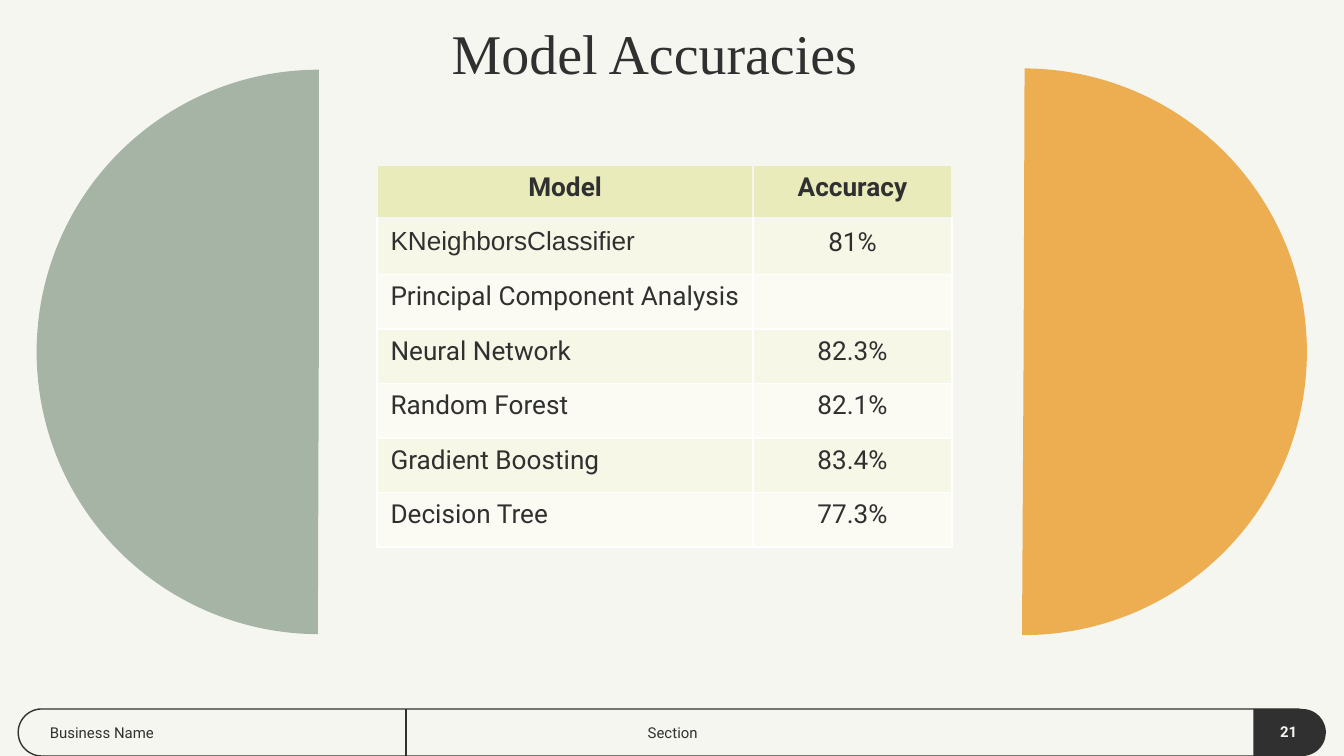
"""Build the Model Accuracies slide: a table between two half discs, with a footer bar."""
from lxml import etree
from pptx import Presentation
from pptx.dml.color import RGBColor
from pptx.enum import shapes, text
from pptx.oxml.ns import qn
from pptx.util import Pt

INK, PAPER = "303030", "F6F6F1"
HEADER, BANDS = "EAEBBA", ("FBFBF3", "F7F7E7")
LEFT, CENTER = text.PP_ALIGN.LEFT, text.PP_ALIGN.CENTER


def rgb(value):
    return RGBColor.from_string(value)


def write(tf, words, size, font, color, align, bold=False):
    tf.text = words
    p = tf.paragraphs[0]
    p.alignment = align
    p.font.size = Pt(size)
    for r in p.runs:
        r.font.size, r.font.name, r.font.bold = Pt(size), font, bold
        r.font.color.rgb = rgb(color)


prs = Presentation()
prs.slide_width, prs.slide_height = Pt(720), Pt(405)
s = prs.slides.add_slide(prs.slide_layouts[6])
s.background.fill.solid()
s.background.fill.fore_color.rgb = rgb(PAPER)

tab, pie = shapes.MSO_SHAPE.ROUND_2_SAME_RECTANGLE, shapes.MSO_SHAPE.PIE
for kind, box, turn, adjust, fill in (
    (tab, (345.6, 43.92, 25.2, 696.96), 90, (0.5, 0.5), None),
    (pie, (19.6, 37.4, 302.4, 302.4), 90, (0.12, 108), "A5B4A5"),
    (pie, (396.6, 36.6, 303.6, 303.6), 270, (0.12, 108.19), "EDAD51"),
    (tab, (678.24, 372.96, 25.2, 38.88), 90, (0.5, 0), INK),
):
    sp = s.shapes.add_shape(kind, *map(Pt, box))
    sp.rotation = turn
    sp.shadow.inherit = False
    for i, value in enumerate(adjust):
        sp.adjustments[i] = value
    if fill:
        sp.fill.solid()
        sp.fill.fore_color.rgb = rgb(fill)
        sp.line.fill.background()
    else:
        sp.fill.background()
        sp.line.color.rgb = rgb(INK)
        sp.line.width = Pt(0.75)

divider = s.shapes.add_connector(
    shapes.MSO_CONNECTOR.STRAIGHT, Pt(217.5), Pt(380), Pt(217.5), Pt(405))
divider.line.color.rgb = rgb(INK)
divider.line.width = Pt(0.75)
etree.SubElement(divider._element.spPr, qn("a:effectLst"))

for words, box, size, font, color, align, bold in (
    ("Business Name", (19.6, 380, 173.5, 24.5), 8, "Roboto", INK, LEFT, False),
    ("Section", (279.4, 380, 162, 24.5), 8, "Roboto", INK, CENTER, False),
    ("21", (671, 379.5, 38.9, 25), 8, "Roboto", PAPER, CENTER, True),
    ("Model Accuracies", (3.6, 3.6, 694, 49), 30, "Times New Roman", INK, CENTER, False),
):
    tf = s.shapes.add_textbox(*map(Pt, box)).text_frame
    tf.word_wrap = True
    tf.vertical_anchor = text.MSO_ANCHOR.MIDDLE
    tf.margin_left = tf.margin_right = tf.margin_top = tf.margin_bottom = Pt(7.2)
    write(tf, words, size, font, color, align, bold)

rows = (
    ("Model", "Accuracy"),
    ("KNeighborsClassifier", "81%"),
    ("Principal Component Analysis", ""),
    ("Neural Network", "82.3%"),
    ("Random Forest", "82.1%"),
    ("Gradient Boosting", "83.4%"),
    ("Decision Tree", "77.3%"),
)
table = s.shapes.add_table(
    len(rows), 2, Pt(202), Pt(88.6), Pt(308), Pt(204.4)).table
table.columns[0].width, table.columns[1].width = Pt(201.5), Pt(106.5)
for i, row in enumerate(rows):
    table.rows[i].height = Pt(29.2)
    for j, words in enumerate(row):
        cell = table.cell(i, j)
        head = i == 0
        font = "Arial" if words == "KNeighborsClassifier" else "Roboto"
        write(cell.text_frame, words, 14, font, INK, CENTER if head or j else LEFT, head)
        tcPr = cell._tc.get_or_add_tcPr()
        for side in "LRTB" if head else "":
            width = Pt(3 if side == "B" else 1)
            ln = etree.SubElement(tcPr, qn(f"a:ln{side}"), w=str(int(width)))
            solid = etree.SubElement(ln, qn("a:solidFill"))
            etree.SubElement(solid, qn("a:srgbClr"), val=PAPER)
        cell.fill.solid()
        cell.fill.fore_color.rgb = rgb(HEADER if head else BANDS[i % 2])

prs.save("out.pptx")
